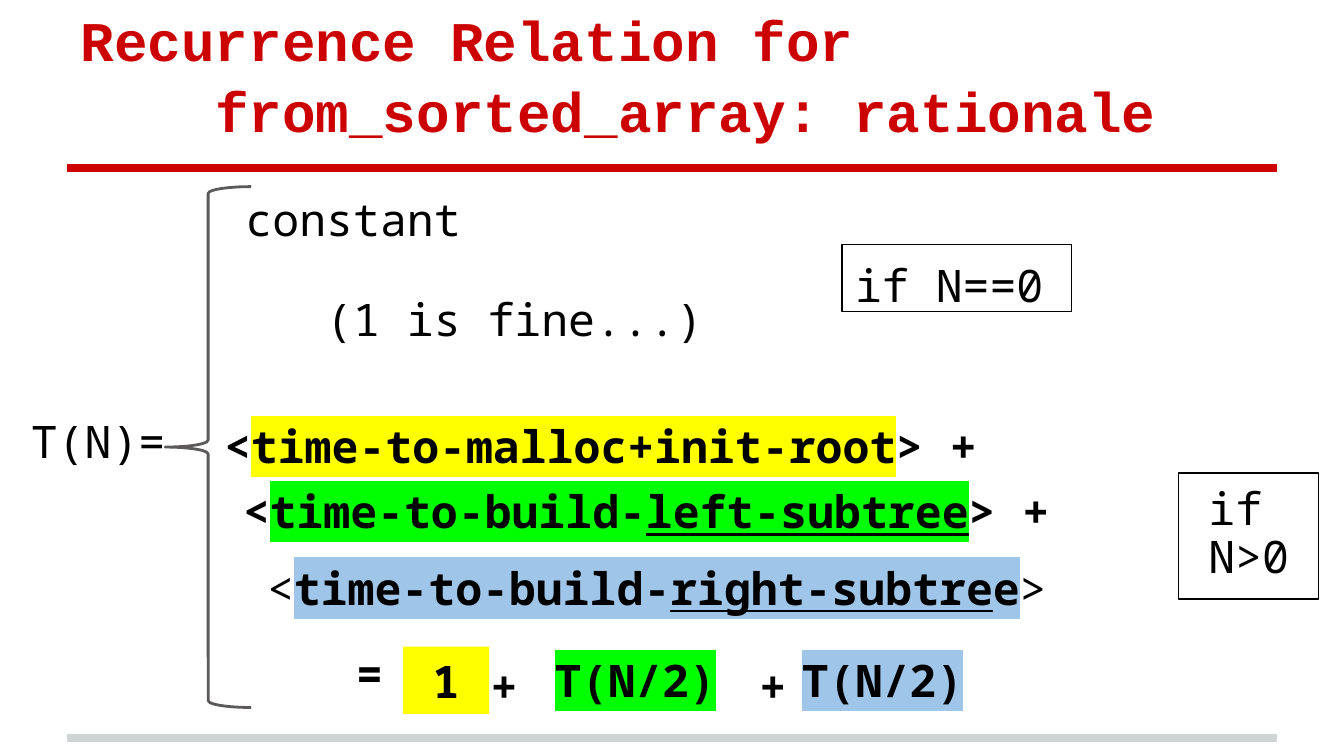
from lxml import etree
from pptx import Presentation
from pptx import util as u
from pptx.dml.color import RGBColor
from pptx.enum import shapes, text
from pptx.oxml.ns import qn

BLACK, RED, GREY, SILVER = "000000", "CC0202", "5B595A", "CFD4D4"
YELLOW, GREEN, BLUE = "FFFF00", "00FF00", "9FC5E8"
LEFT, CENTER = text.PP_ALIGN.LEFT, text.PP_ALIGN.CENTER
TOP, MIDDLE, BOTTOM = (text.MSO_ANCHOR.TOP, text.MSO_ANCHOR.MIDDLE,
                       text.MSO_ANCHOR.BOTTOM)


def rgb(color):
    return RGBColor.from_string(color)


def pts(*values):
    return [u.Pt(v) for v in values]


class Deck:
    code_font, code_size = "Noto Sans Mono", 24
    title_font, title_size = "Courier New", 30
    inset = 7.2

    def __init__(self, width, height):
        self.prs = Presentation()
        self.prs.slide_width, self.prs.slide_height = pts(width, height)
        self.s = self.prs.slides.add_slide(self.prs.slide_layouts[5])

    def frame(self, sp, anchor):
        tf = sp.text_frame
        tf.word_wrap = True
        tf.auto_size = text.MSO_AUTO_SIZE.NONE
        tf.vertical_anchor = anchor
        tf.margin_left = tf.margin_right = u.Pt(self.inset)
        tf.margin_top = tf.margin_bottom = u.Pt(self.inset)
        return tf

    def style(self, r, font, size, color, bold=False, mark=None, underline=False):
        f = r.font
        f.name, f.size, f.bold = font, u.Pt(size), bold
        f.color.rgb = rgb(color)
        if underline:
            f.underline = True
        if mark:
            highlight = etree.Element(qn("a:highlight"))
            etree.SubElement(highlight, qn("a:srgbClr"), val=mark)
            r._r.get_or_add_rPr().find(qn("a:solidFill")).addnext(highlight)

    def lines(self, tf, rows, font, size, color, bold=False, align=LEFT,
              gap=0, indent=0, spacing=1.0):
        """Fill one paragraph per row; gap and indent apply after the first."""
        tf.text = "\n".join(rows)
        for i, p in enumerate(tf.paragraphs):
            p.alignment, p.line_spacing = align, spacing
            p.space_before = u.Pt(gap if i else 0)
            if i and indent:
                p._p.get_or_add_pPr().set("marL", str(u.Pt(indent)))
            for r in p.runs:
                self.style(r, font, size, color, bold)

    def title(self, rows, box, **layout):
        sp = self.s.shapes.title
        sp.left, sp.top, sp.width, sp.height = pts(*box)
        self.lines(self.frame(sp, BOTTOM), rows, self.title_font,
                   self.title_size, RED, True, **layout)

    def label(self, rows, box, anchor=TOP, **layout):
        sp = self.s.shapes.add_textbox(*pts(*box))
        self.lines(self.frame(sp, anchor), rows, self.code_font,
                   self.code_size, BLACK, **layout)

    def marked(self, runs, box, anchor=MIDDLE, align=LEFT):
        """Add one line of (text, bold, highlight, underline) runs."""
        sp = self.s.shapes.add_textbox(*pts(*box))
        p = self.frame(sp, anchor).paragraphs[0]
        p.alignment = align
        for words, bold, mark, underline in runs:
            r = p.add_run()
            r.text = words
            self.style(r, self.code_font, self.code_size, BLACK,
                       bold, mark, underline)

    def shape(self, kind, box, fill=None, line=None, weight=0.75):
        sp = self.s.shapes.add_shape(kind, *pts(*box))
        sp.shadow.inherit = False
        if fill:
            sp.fill.solid()
            sp.fill.fore_color.rgb = rgb(fill)
        else:
            sp.fill.background()
        if line:
            sp.line.color.rgb = rgb(line)
            sp.line.width = u.Pt(weight)
        else:
            sp.line.fill.background()
        return sp

    def box(self, rows, box, fill=None, line=None, anchor=TOP, **layout):
        sp = self.shape(shapes.MSO_SHAPE.RECTANGLE, box, fill, line)
        self.lines(self.frame(sp, anchor), rows, self.code_font,
                   self.code_size, BLACK, **layout)

    def brace(self, box, color, weight):
        sp = self.shape(shapes.MSO_SHAPE.LEFT_BRACE, box, None, color, weight)
        sp.adjustments[0], sp.adjustments[1] = 0.08, 0.5

    def rule(self, y, color, weight=4):
        c = self.s.shapes.add_connector(shapes.MSO_CONNECTOR.STRAIGHT,
                                        *pts(36, y, 684, y))
        c.line.color.rgb = rgb(color)
        c.line.width = u.Pt(weight)
        etree.SubElement(c._element.spPr, qn("a:effectLst"))


def main():
    d = Deck(720, 405)
    d.rule(395.5, SILVER)
    d.rule(90, RED)
    d.title(["Recurrence Relation for", "from_sorted_array: rationale"],
            (36, 16.5, 648, 67.5), gap=2, indent=72)

    d.label(["T(N)="], (9.5, 214.5, 88.5, 44.5))
    d.brace((88.5, 100, 46, 279), GREY, 1.5)
    d.label(["constant", "(1 is fine...)"], (124.5, 112.5, 268, 63),
            MIDDLE, gap=25, indent=43.2)

    costs = [
        (113, 216.5, True, "> +", [("time-to-malloc+init-root", True, YELLOW, False)]),
        (123, 251.5, True, "> +", [("time-to-build-", True, GREEN, False),
                                   ("left-subtree", True, GREEN, True)]),
        (136, 292.5, False, ">", [("time-to-build-", True, BLUE, False),
                                  ("right-subtre", True, BLUE, True),
                                  ("e", True, BLUE, False)]),
    ]
    for x, y, bold, end, runs in costs:
        d.marked([("<", bold, None, False), *runs, (end, bold, None, False)],
                 (x, y, 495.5, 44.5))

    d.box(["if N==0"], (451, 131, 123, 36), line=BLACK)
    d.box(["if ", "N>0"], (631.5, 253.5, 75, 67.5), line=BLACK,
          align=CENTER, spacing=0.9)

    d.box(["1"], (216, 346.5, 46, 36), fill=YELLOW, anchor=MIDDLE,
          bold=True, align=CENTER)
    for sign, x, y in [("=", 175, 339), ("+", 247, 345.5), ("+", 391, 345.5)]:
        d.label([sign], (x, y, 46, 50.5), bold=True, align=CENTER)
    for x, mark in [(288.5, GREEN), (421, BLUE)]:
        d.marked([("T(N/2)", True, mark, False)], (x, 342.5, 103.5, 50.5),
                 TOP, CENTER)
    d.prs.save("out.pptx")


if __name__ == "__main__":
    main()
